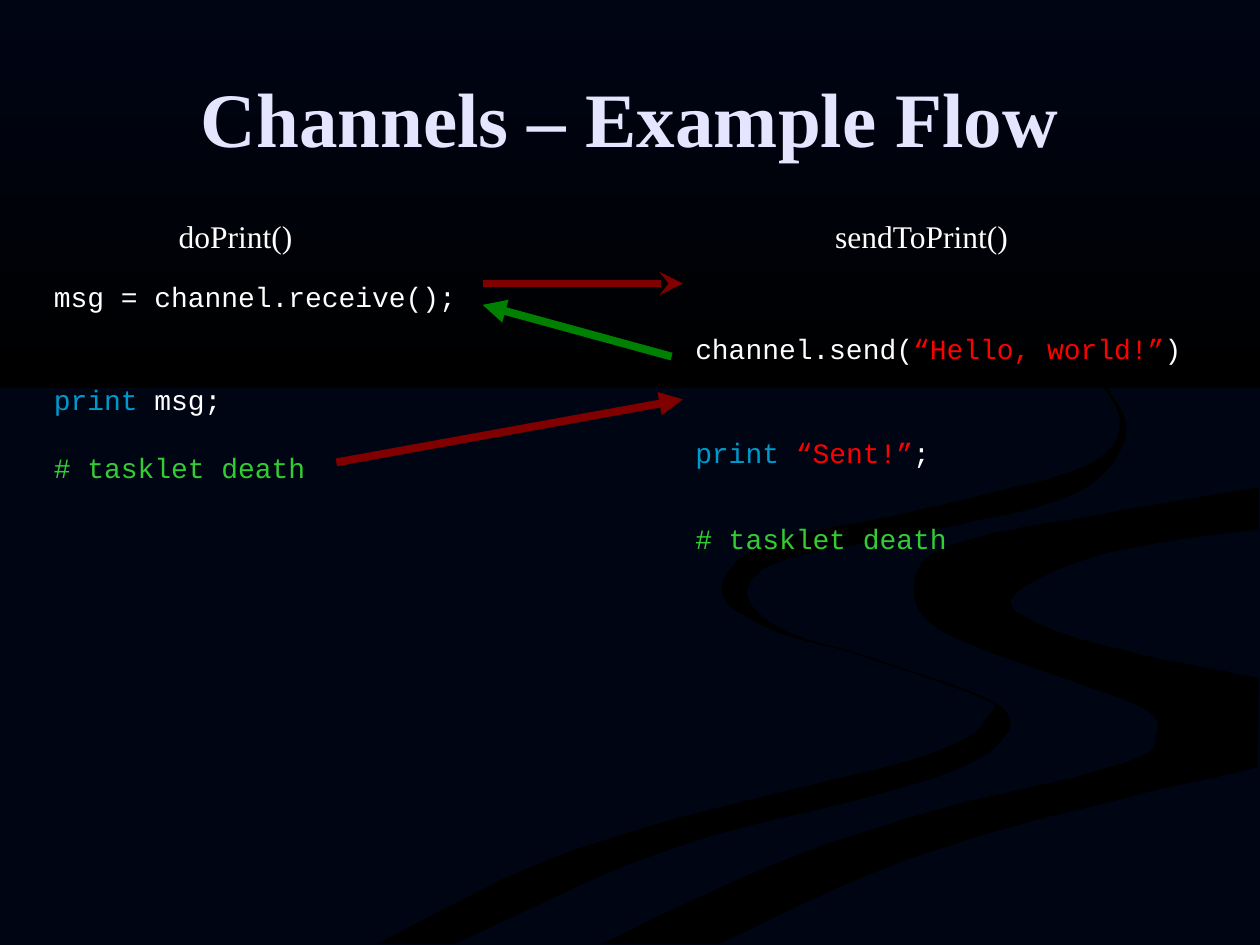
import dataclasses

import lxml.etree
import pptx
import pptx.dml.color
import pptx.enum.shapes
import pptx.enum.text
import pptx.oxml.ns
import pptx.util

Inches = pptx.util.Inches
Pt = pptx.util.Pt


@dataclasses.dataclass(frozen=True)
class Theme:
    night: str = "000514"
    black: str = "000000"
    title: str = "E5E5FF"
    plain: str = "FFFFFF"
    keyword: str = "0099CC"
    string: str = "FF0000"
    comment: str = "33CC33"
    switch: str = "800000"
    message: str = "008000"
    serif: str = "Times New Roman"
    mono: str = "Courier New"
    title_size: float = 44
    label_size: float = 18
    code_size: float = 16
    arrow_width: float = 4.5


THEME = Theme()

# Banks of the two winding rivers, in hundredths of an inch.
# Each bank is a smooth curve; straight edges join one bank to the next.
NARROW_RIVER = [
    [(870, 300), (889, 335), (861, 370), (733, 404), (605, 433), (573, 470),
     (611, 499), (679, 519), (776, 553), (786, 566), (739, 598), (539, 649),
     (417, 690), (300, 749)],
    [(361, 749), (532, 674), (740, 618), (800, 581), (781, 553), (682, 519),
     (620, 499), (593, 470), (624, 444), (739, 421), (855, 391), (894, 344),
     (874, 300)],
]
WIDE_RIVER = [
    [(999, 387), (874, 408), (755, 432), (725, 464), (746, 500), (838, 536),
     (907, 562), (918, 581), (894, 605), (743, 643), (619, 684), (477, 749)],
    [(571, 749), (695, 692), (821, 651), (998, 609)],
    [(999, 538), (904, 519), (826, 496), (805, 472), (878, 439), (999, 420)],
]

# Each line of code: space before in points, then its coloured spans.
RECEIVER = [
    (0, [("msg = channel.receive();", THEME.plain)]),
    (39.5, [("print", THEME.keyword), (" msg;", THEME.plain)]),
    (20, [("# tasklet death", THEME.comment)]),
]
SENDER = [
    (0, [("channel.send(", THEME.plain), ("“Hello, world!”", THEME.string),
         (")", THEME.plain)]),
    (40.5, [("print ", THEME.keyword), ("“Sent!”", THEME.string),
            (";", THEME.plain)]),
    (30, [("# tasklet death", THEME.comment)]),
]


def rgb(code):
    return pptx.dml.color.RGBColor.from_string(code)


def smooth(points, steps=6):
    """Return a Catmull-Rom curve through the points."""
    padded = [points[0], *points, points[-1]]
    curve = []
    for a, b, c, d in zip(padded, padded[1:], padded[2:], padded[3:]):
        for step in range(steps):
            t = step / steps
            curve.append(tuple(
                (2 * q + (r - p) * t + (2 * p - 5 * q + 4 * r - s) * t ** 2
                 + (3 * q - p - 3 * r + s) * t ** 3) / 2
                for p, q, r, s in zip(a, b, c, d)))
    return curve + [points[-1]]


def add_span(para, text, *, font, size, color, bold=False):
    span = para.add_run()
    span.text = text
    span.font.name = font
    span.font.size = Pt(size)
    span.font.color.rgb = rgb(color)
    span.font.bold = bold


class Painter:
    def __init__(self, page, theme):
        self.page = page
        self.theme = theme

    def background(self):
        fill = self.page.background.fill
        fill.solid()
        fill.fore_color.rgb = rgb(self.theme.night)

    def river(self, banks):
        outline = [point for bank in banks for point in smooth(bank)]
        builder = self.page.shapes.build_freeform(*outline[0], scale=Inches(0.01))
        builder.add_line_segments(outline[1:], close=True)
        shape = builder.convert_to_shape()
        shape.shadow.inherit = False
        shape.fill.solid()
        shape.fill.fore_color.rgb = rgb(self.theme.black)
        shape.line.fill.background()

    def sky(self, width, height):
        """Band at the top that fades downwards to black."""
        band = self.page.shapes.add_shape(
            pptx.enum.shapes.MSO_SHAPE.RECTANGLE, 0, 0, Inches(width), Inches(height))
        band.shadow.inherit = False
        band.line.fill.background()
        band.fill.gradient()
        band.fill.gradient_angle = 270
        for stop, color in zip(band.fill.gradient_stops,
                               (self.theme.night, self.theme.black)):
            stop.color.rgb = rgb(color)

    def text_box(self, left, top, width, height, wrap=True, grow=True):
        box = self.page.shapes.add_textbox(*map(Inches, (left, top, width, height)))
        frame = box.text_frame
        frame.word_wrap = wrap
        if grow:
            frame.auto_size = pptx.enum.text.MSO_AUTO_SIZE.SHAPE_TO_FIT_TEXT
        return frame

    def title(self, text, *place):
        frame = self.text_box(*place, grow=False)
        frame.vertical_anchor = pptx.enum.text.MSO_ANCHOR.MIDDLE
        para = frame.paragraphs[0]
        para.alignment = pptx.enum.text.PP_ALIGN.CENTER
        add_span(para, text, font=self.theme.serif, size=self.theme.title_size,
                 color=self.theme.title, bold=True)

    def label(self, text, *place):
        frame = self.text_box(*place, wrap=False)
        add_span(frame.paragraphs[0], text, font=self.theme.serif,
                 size=self.theme.label_size, color=self.theme.plain)

    def code(self, lines, *place):
        frame = self.text_box(*place)
        for index, (space, spans) in enumerate(lines):
            para = frame.add_paragraph() if index else frame.paragraphs[0]
            para.space_before = Pt(space)
            for text, color in spans:
                add_span(para, text, font=self.theme.mono,
                         size=self.theme.code_size, color=color)

    def arrow(self, start, end, color, head="triangle"):
        connector = self.page.shapes.add_connector(
            pptx.enum.shapes.MSO_CONNECTOR.STRAIGHT, *map(Inches, start + end))
        connector.line.color.rgb = rgb(color)
        connector.line.width = Pt(self.theme.arrow_width)
        qn = pptx.oxml.ns.qn
        properties = connector.element.spPr
        lxml.etree.SubElement(properties.find(qn("a:ln")), qn("a:tailEnd"), type=head)
        lxml.etree.SubElement(properties, qn("a:effectLst"))


def main():
    deck = pptx.Presentation()
    deck.slide_width, deck.slide_height = Inches(10), Inches(7.5)
    painter = Painter(deck.slides.add_slide(deck.slide_layouts[6]), THEME)
    painter.background()
    for banks in (NARROW_RIVER, WIDE_RIVER):
        painter.river(banks)
    painter.sky(10, 3.08)
    painter.title("Channels – Example Flow", 0.5, 0.3, 9, 1.25)
    painter.code(RECEIVER, 0.33, 2.17, 3.58, 1.7)
    painter.code(SENDER, 5.42, 2.58, 4.33, 1.85)
    painter.label("doPrint()", 1.32, 1.67, 1.27, 0.4)
    painter.label("sendToPrint()", 6.53, 1.67, 1.83, 0.4)
    painter.arrow((3.83, 2.25), (5.42, 2.25), THEME.switch, head="stealth")
    painter.arrow((5.33, 2.83), (3.83, 2.42), THEME.message)
    painter.arrow((2.67, 3.67), (5.42, 3.17), THEME.switch)
    deck.save("out.pptx")


if __name__ == "__main__":
    main()
